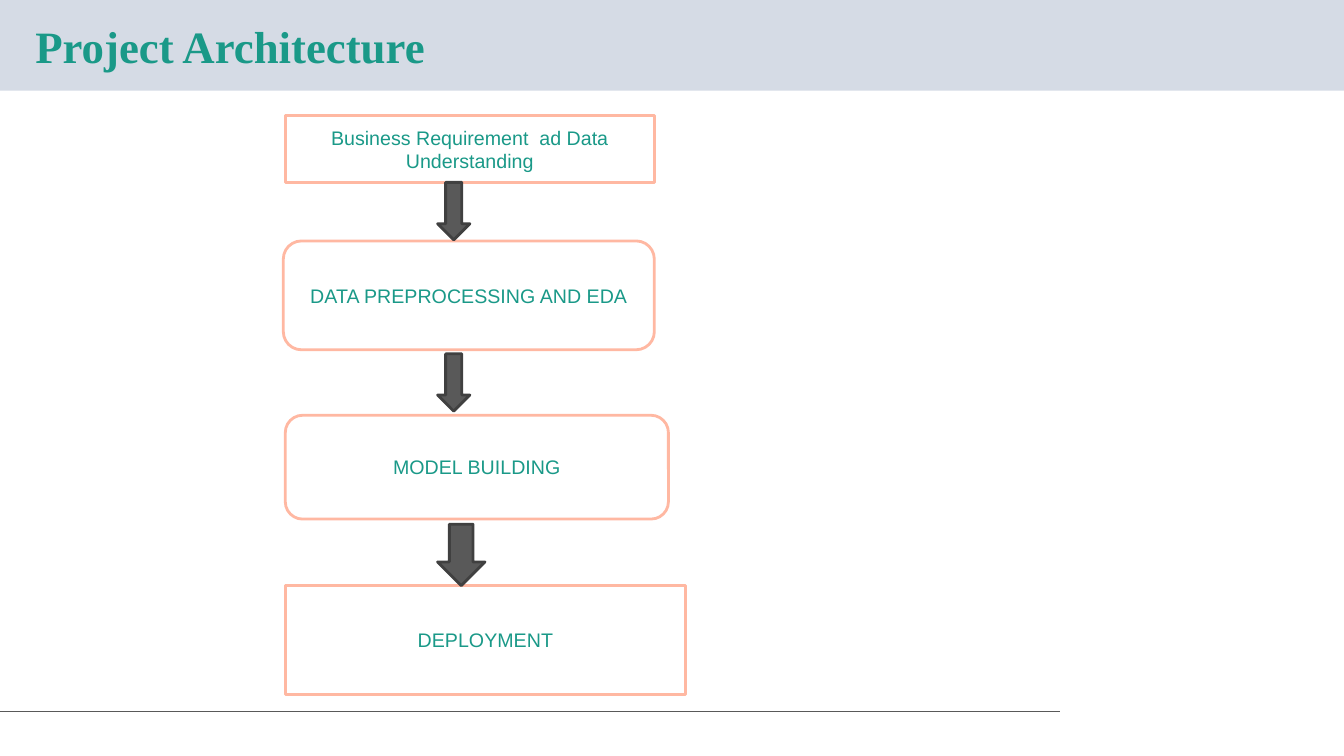
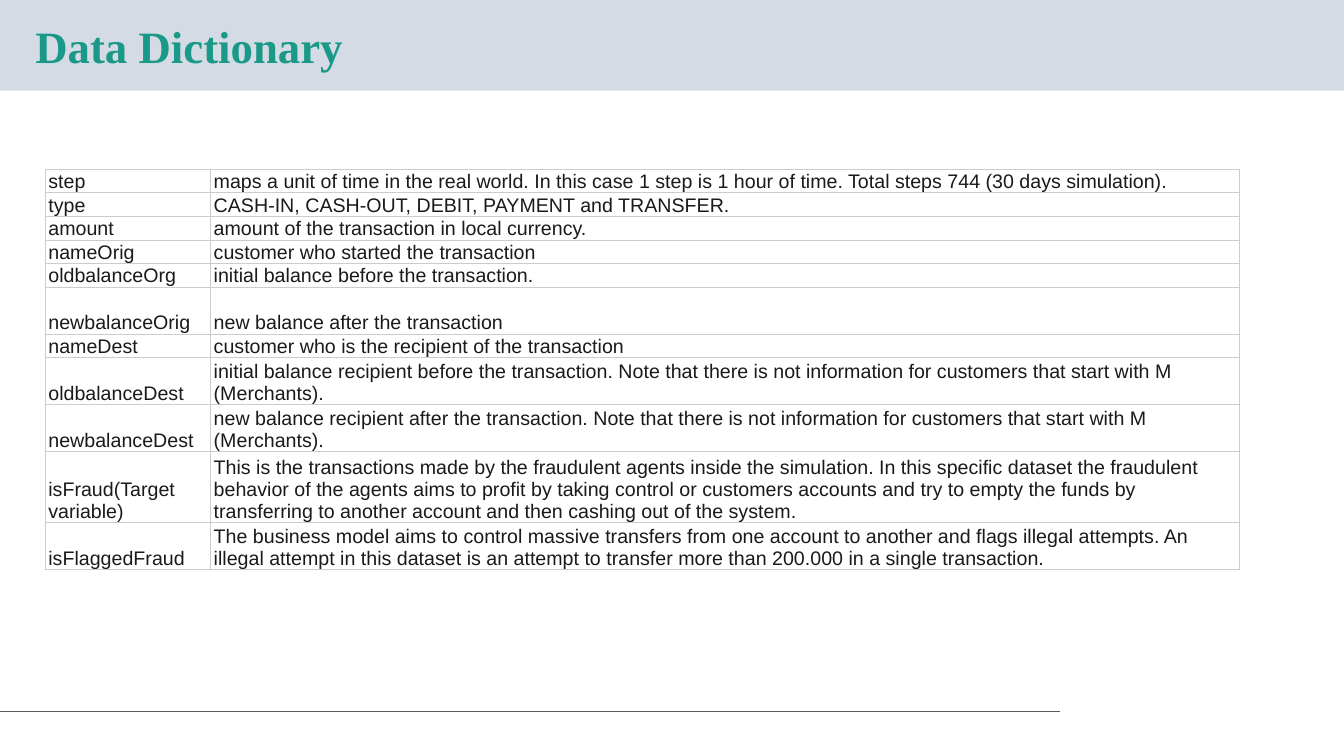
import pptx
import pptx.dml.color
import pptx.enum.shapes
import pptx.enum.text
import pptx.oxml
import pptx.oxml.ns
import pptx.util
from lxml import etree

Inches = pptx.util.Inches
Pt = pptx.util.Pt
RGBColor = pptx.dml.color.RGBColor
Shape = pptx.enum.shapes.MSO_SHAPE
Anchor = pptx.enum.text.MSO_ANCHOR
Align = pptx.enum.text.PP_ALIGN
qn = pptx.oxml.ns.qn

WHITE = RGBColor(0xFF, 0xFF, 0xFF)
BAND = RGBColor(0xD5, 0xDB, 0xE5)
TEAL = RGBColor(0x1A, 0x99, 0x88)
PEACH = RGBColor(0xFF, 0xB8, 0xA2)
GRAY = RGBColor(0x59, 0x59, 0x59)
DARK_GRAY = RGBColor(0x40, 0x40, 0x40)
INK = RGBColor(0x1A, 0x1A, 0x1A)
GRID = RGBColor(0xCC, 0xCC, 0xCC)

TITLE_FONT = "Times New Roman"
BODY_FONT = "Arial"
BODY_SIZE = 14
SLIDE_WIDTH, SLIDE_HEIGHT = 13.33, 7.5

# Shape, text, left, top, width, height
STEPS = [
    (Shape.RECTANGLE, "Business Requirement  ad Data Understanding", 2.83, 1.15, 3.66, 0.66),
    (Shape.ROUNDED_RECTANGLE, "DATA PREPROCESSING AND EDA", 2.81, 2.39, 3.68, 1.08),
    (Shape.ROUNDED_RECTANGLE, "MODEL BUILDING", 2.83, 4.12, 3.8, 1.03),
    (Shape.RECTANGLE, "DEPLOYMENT", 2.83, 5.81, 3.97, 1.08),
]
# Top, width, height
ARROW_LEFT = 4.34
ARROWS = [(1.81, 0.32, 0.57), (3.51, 0.32, 0.57), (5.2, 0.47, 0.61)]

# Column name, meaning, height in text lines
FIELDS = [
    ("step", "maps a unit of time in the real world. In this case 1 step is 1 hour of time. "
     "Total steps 744 (30 days simulation).", 1),
    ("type", "CASH-IN, CASH-OUT, DEBIT, PAYMENT and TRANSFER.", 1),
    ("amount", "amount of the transaction in local currency.", 1),
    ("nameOrig", "customer who started the transaction", 1),
    ("oldbalanceOrg", "initial balance before the transaction.", 1),
    ("newbalanceOrig", "new balance after the transaction", 2),
    ("nameDest", "customer who is the recipient of the transaction", 1),
    ("oldbalanceDest", "initial balance recipient before the transaction. Note that there is not "
     "information for customers that start with M (Merchants).", 2),
    ("newbalanceDest", "new balance recipient after the transaction. Note that there is not "
     "information for customers that start with M (Merchants).", 2),
    ("isFraud(Target variable)", "This is the transactions made by the fraudulent agents inside "
     "the simulation. In this specific dataset the fraudulent behavior of the agents aims to "
     "profit by taking control or customers accounts and try to empty the funds by transferring "
     "to another account and then cashing out of the system.", 3),
    ("isFlaggedFraud", "The business model aims to control massive transfers from one account to "
     "another and flags illegal attempts. An illegal attempt in this dataset is an attempt to "
     "transfer more than 200.000 in a single transaction.", 2),
]


def add_run(paragraph, text, color, size=BODY_SIZE, font=BODY_FONT, bold=False):
    run = paragraph.add_run()
    run.text = text
    run.font.name = font
    run.font.size = Pt(size)
    run.font.bold = bold
    run.font.color.rgb = color


def add_box(slide, kind, left, top, width, height, fill, line=None):
    shape = slide.shapes.add_shape(kind, Inches(left), Inches(top), Inches(width), Inches(height))
    shape.shadow.inherit = False
    shape.fill.solid()
    shape.fill.fore_color.rgb = fill
    if line is None:
        shape.line.fill.background()
    else:
        shape.line.color.rgb = line
        shape.line.width = Pt(2)
    return shape


def decorate_layout(layout, slide):
    """Draw the title band and footer rule on a slide, then move them to its layout."""
    band = add_box(slide, Shape.RECTANGLE, 0, 0, SLIDE_WIDTH, 0.9, BAND)
    rule = slide.shapes.add_connector(
        pptx.enum.shapes.MSO_CONNECTOR.STRAIGHT,
        Inches(0), Inches(7.06), Inches(10.51), Inches(7.06))
    rule.line.color.rgb = GRAY
    rule.line.width = Pt(0.75)
    etree.SubElement(rule._element.spPr, qn("a:effectLst"))
    for position, shape in enumerate((band, rule), start=2):
        layout.shapes._spTree.insert(position, shape._element)


def add_titled_slide(presentation, layout, text):
    slide = presentation.slides.add_slide(layout)
    title = slide.shapes.title
    title.left, title.top = Inches(0.25), Inches(0.19)
    title.width, title.height = Inches(11.5), Inches(0.59)
    frame = title.text_frame
    frame.word_wrap = True
    frame.auto_size = pptx.enum.text.MSO_AUTO_SIZE.SHAPE_TO_FIT_TEXT
    frame.vertical_anchor = Anchor.MIDDLE
    paragraph = frame.paragraphs[0]
    paragraph.alignment = Align.LEFT
    paragraph.line_spacing = 0.9
    add_run(paragraph, text, TEAL, 32, TITLE_FONT, bold=True)
    return slide


def add_flow(slide):
    for kind, text, left, top, width, height in STEPS:
        step = add_box(slide, kind, left, top, width, height, WHITE, PEACH)
        frame = step.text_frame
        frame.word_wrap = True
        frame.vertical_anchor = Anchor.MIDDLE
        paragraph = frame.paragraphs[0]
        paragraph.alignment = Align.CENTER
        add_run(paragraph, text, TEAL)
    for top, width, height in ARROWS:
        add_box(slide, Shape.DOWN_ARROW, ARROW_LEFT, top, width, height, GRAY, DARK_GRAY)


def set_borders(cell):
    properties = cell._tc.get_or_add_tcPr()
    for side in ("lnL", "lnR", "lnT", "lnB"):
        line = etree.SubElement(properties, qn(f"a:{side}"), w=str(Pt(0.75)))
        fill = etree.SubElement(line, qn("a:solidFill"))
        etree.SubElement(fill, qn("a:srgbClr"), val=str(GRID))


def fill_cell(cell, text):
    set_borders(cell)
    cell.fill.background()
    cell.vertical_anchor = Anchor.BOTTOM
    cell.margin_left = cell.margin_right = Inches(0.03)
    cell.margin_top = cell.margin_bottom = 0
    add_run(cell.text_frame.paragraphs[0], text, INK)


def add_dictionary(slide, left, top, column_widths, height):
    """Add the field table, with row heights shared out by text lines."""
    table = slide.shapes.add_table(
        len(FIELDS), len(column_widths), Inches(left), Inches(top),
        Inches(sum(column_widths)), Inches(height)).table
    table.first_row = False
    table.horz_banding = False
    for column, width in zip(table.columns, column_widths):
        column.width = Inches(width)
    line_height = height / sum(lines for _, _, lines in FIELDS)
    for row, (name, meaning, lines) in zip(table.rows, FIELDS):
        row.height = Inches(line_height * lines)
        for cell, text in zip(row.cells, (name, meaning)):
            fill_cell(cell, text)


def main():
    presentation = pptx.Presentation()
    presentation.slide_width = Inches(SLIDE_WIDTH)
    presentation.slide_height = Inches(SLIDE_HEIGHT)
    layout = presentation.slide_layouts.get_by_name("Title Only")

    architecture = add_titled_slide(presentation, layout, "Project Architecture")
    decorate_layout(layout, architecture)
    add_flow(architecture)

    dictionary = add_titled_slide(presentation, layout, "Data Dictionary")
    add_dictionary(dictionary, 0.45, 1.68, (1.64, 10.2), 3.96)

    presentation.save("out.pptx")


if __name__ == "__main__":
    main()
